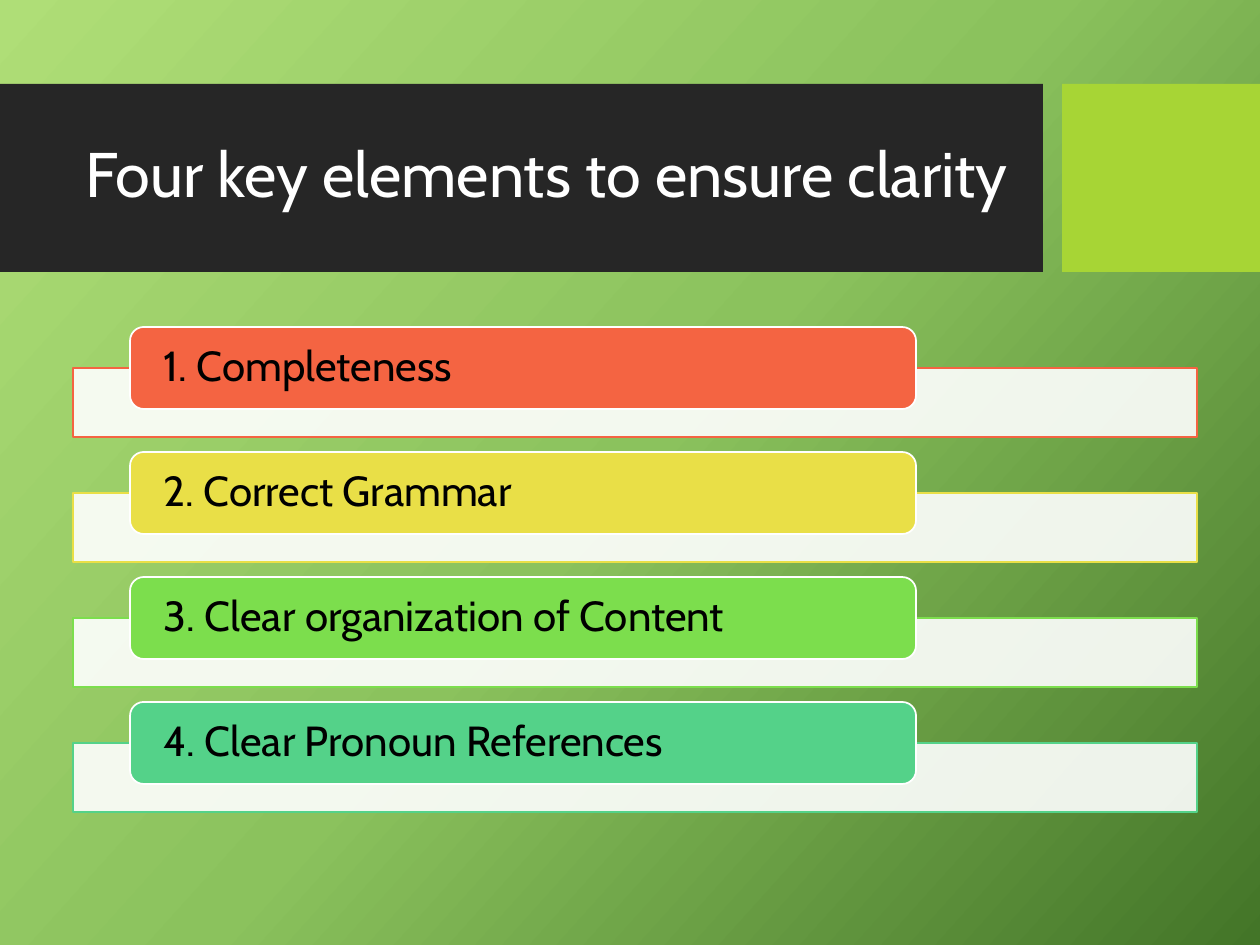
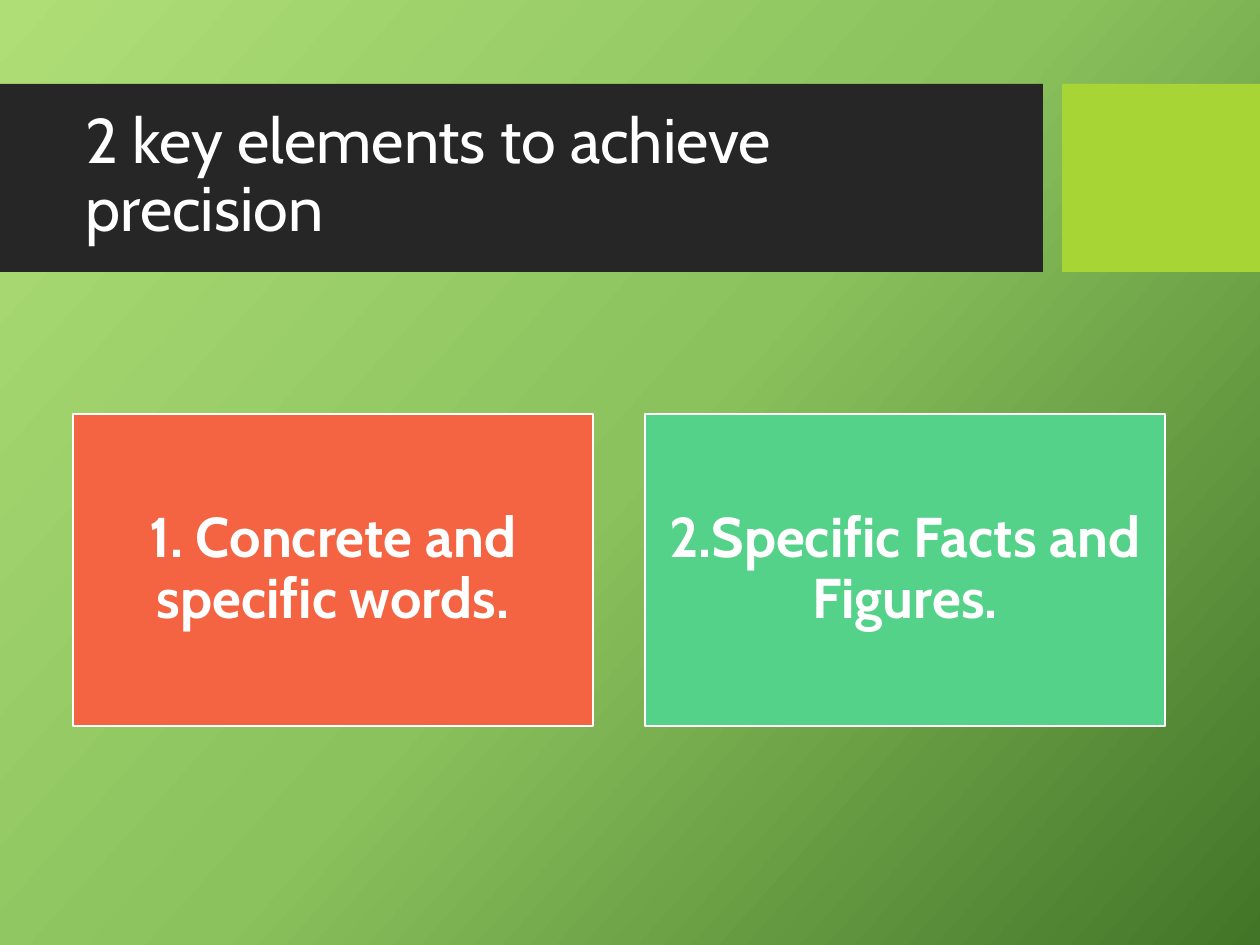
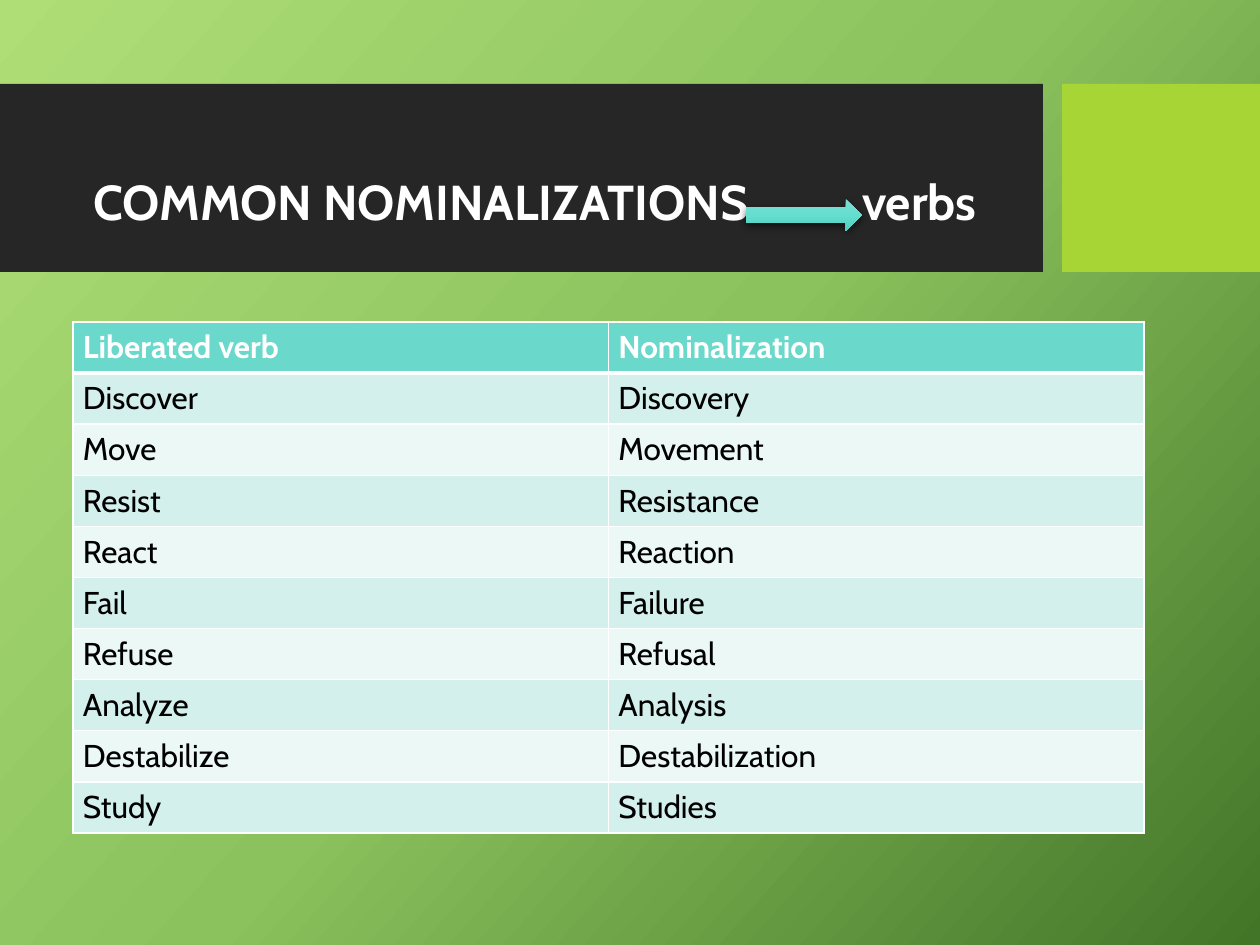
from lxml import etree
from pptx import Presentation
from pptx.dml.color import RGBColor
from pptx.enum.shapes import MSO_SHAPE
from pptx.enum.text import MSO_ANCHOR, MSO_AUTO_SIZE, PP_ALIGN
from pptx.oxml.ns import qn
from pptx.util import Emu, Pt

RECTANGLE, ROUNDED = MSO_SHAPE.RECTANGLE, MSO_SHAPE.ROUNDED_RECTANGLE
RIGHT_ARROW = MSO_SHAPE.RIGHT_ARROW
MIDDLE, BOTTOM = MSO_ANCHOR.MIDDLE, MSO_ANCHOR.BOTTOM
LEFT, CENTER = PP_ALIGN.LEFT, PP_ALIGN.CENTER
NO_AUTOFIT = MSO_AUTO_SIZE.NONE

EMU_PER_PX = 914400 / 126
FONT = "Cabin"
COLORS = {
    "white": "FFFFFF", "black": "000000", "band": "262626", "accent": "A7D535",
    "red": "F46442", "yellow": "E9DF47", "green": "7CDE4D", "mint": "54D289",
    "header": "6AD8CB", "row_dark": "D4F0EC", "row_light": "EBF8F6",
}
BACKGROUND_STOPS = ((0, "AFDE77"), (50, "8BC25D"), (100, "437528"))
ARROW_STOPS = ((0, "7EDDD2"), (50, "64DECF"), (100, "53CBBD"))

TITLE_BOX = (73, 103, 950, 149)
TITLE_FONT = {"size": Pt(36), "bold": False, "color": "white"}
TITLE_BOLD_FONT = {"size": Pt(28), "bold": True, "color": "white"}
LABEL_FONT = {"size": Pt(24), "bold": False, "color": "black"}
CARD_FONT = {"size": Pt(32), "bold": True, "color": "white"}
HEADER_FONT = {"size": Pt(18), "bold": True, "color": "white"}
CELL_FONT = {"size": Pt(18), "bold": False, "color": "black"}

ELEMENTS = (
    ("1. Completeness", "red"),
    ("2. Correct Grammar", "yellow"),
    ("3. Clear organization of Content", "green"),
    ("4. Clear Pronoun References", "mint"),
)
CARDS = (("1. Concrete and specific words.", "red"),
         ("2.Specific Facts and Figures.", "mint"))
VERBS = (
    ("Liberated verb", "Nominalization"),
    ("Discover", "Discovery"), ("Move", "Movement"), ("Resist", "Resistance"),
    ("React", "Reaction"), ("Fail", "Failure"), ("Refuse", "Refusal"),
    ("Analyze", "Analysis"), ("Destabilize", "Destabilization"),
    ("Study", "Studies"),
)


def px(length):
    return Emu(round(length * EMU_PER_PX))


def rgb(name):
    return RGBColor.from_string(COLORS[name])


def add_xml(parent, tag, **attributes):
    values = {key: str(value) for key, value in attributes.items()}
    return etree.SubElement(parent, qn(tag), values)


def place(shape, box):
    for side, length in zip(("left", "top", "width", "height"), box):
        setattr(shape, side, px(length))


def format_text(paragraph, font, align=LEFT, spacing=0.9):
    paragraph.alignment = align
    paragraph.line_spacing = spacing
    paragraph.font.name = FONT
    for name, value in font.items():
        if name == "color":
            paragraph.font.color.rgb = rgb(value)
        else:
            setattr(paragraph.font, name, value)


def fill_gradient(fill, element, stops, angle):
    """Give a fill inside element any number of stops, at a clockwise angle."""
    fill.gradient()
    fill.gradient_angle = 360 - angle
    stop_list = next(element.iter(qn("a:gsLst")))
    for stop in list(stop_list):
        stop_list.remove(stop)
    for position, color in stops:
        stop = add_xml(stop_list, "a:gs", pos=position * 1000)
        add_xml(stop, "a:srgbClr", val=color)


def add_block(slide, kind, box, fill=None, line=None):
    shape = slide.shapes.add_shape(kind, *map(px, box))
    shape.shadow.inherit = False
    if fill:
        shape.fill.solid()
        shape.fill.fore_color.rgb = rgb(fill)
    if line:
        shape.line.color.rgb = rgb(line)
        shape.line.width = Pt(1)
    else:
        shape.line.fill.background()
    return shape


def write_block(shape, text, font, align, inset_x, inset_y):
    frame = shape.text_frame
    frame.word_wrap = True
    frame.vertical_anchor = MIDDLE
    frame.margin_left = frame.margin_right = px(inset_x)
    frame.margin_top = frame.margin_bottom = px(inset_y)
    frame.text = text
    format_text(frame.paragraphs[0], font, align)


def prepare_layout(layout, slide):
    """Draw the bands on a slide and move them behind the layout's title."""
    fill_gradient(layout.background.fill, layout.element, BACKGROUND_STOPS, 42)
    for placeholder in list(layout.placeholders)[1:]:
        placeholder.element.getparent().remove(placeholder.element)
    bands = [add_block(slide, RECTANGLE, (0, 84, 1043, 188), "band"),
             add_block(slide, RECTANGLE, (1062, 84, 198, 188), "accent")]
    title = layout.placeholders[0].element
    for band in bands:
        title.addprevious(band.element)


def set_title(slide, text, font=TITLE_FONT, anchor=MIDDLE):
    title = slide.shapes.title
    place(title, TITLE_BOX)
    frame = title.text_frame
    frame.auto_size = NO_AUTOFIT
    frame.word_wrap = True
    frame.vertical_anchor = anchor
    frame.text = text
    format_text(frame.paragraphs[0], font)
    return frame


def add_element_row(slide, box, text, color):
    left, top, width, height = box
    bar = add_block(slide, RECTANGLE, (left, top + 41, width, height - 41),
                    "white", color)
    bar_color = next(bar.element.spPr.iter(qn("a:srgbClr")))
    add_xml(bar_color, "a:alpha", val=90000)
    label = add_block(slide, ROUNDED, (left + 57, top, 786, 82), color, "white")
    write_block(label, text, LABEL_FONT, LEFT, 30, 0)


def add_verb_table(slide, box):
    table = slide.shapes.add_table(len(VERBS), len(VERBS[0]), *map(px, box)).table
    for row_index, words in enumerate(VERBS):
        is_header = row_index == 0
        fill = "header" if is_header else ("row_light", "row_dark")[row_index % 2]
        for column_index, word in enumerate(words):
            cell = table.cell(row_index, column_index)
            widths = {"L": 1, "R": 1, "T": 3 if row_index == 1 else 1,
                      "B": 3 if is_header else 1}
            add_borders(cell, widths)
            cell.fill.solid()
            cell.fill.fore_color.rgb = rgb(fill)
            cell.margin_left = cell.margin_right = px(10)
            cell.text = word
            format_text(cell.text_frame.paragraphs[0],
                        HEADER_FONT if is_header else CELL_FONT, spacing=1.0)


def add_borders(cell, widths):
    properties = cell._tc.get_or_add_tcPr()
    for side, width in widths.items():
        line = add_xml(properties, f"a:ln{side}", w=Pt(width))
        add_xml(add_xml(line, "a:solidFill"), "a:srgbClr", val=COLORS["white"])


def add_title_arrow(slide, box):
    arrow = add_block(slide, RIGHT_ARROW, box)
    properties = arrow.element.spPr
    fill_gradient(arrow.fill, properties, ARROW_STOPS, 90)
    shadow = add_xml(properties.find(qn("a:effectLst")), "a:outerShdw",
                     blurRad=Pt(4.5), dist=Pt(1.5), dir=90 * 60000, rotWithShape=0)
    color = add_xml(shadow, "a:srgbClr", val=COLORS["black"])
    add_xml(color, "a:alpha", val=63000)


def build_clarity(slide):
    set_title(slide, "Four key elements to ensure clarity")
    for index, (text, color) in enumerate(ELEMENTS):
        add_element_row(slide, (73, 327 + 125 * index, 1124, 110), text, color)


def build_precision(slide):
    set_title(slide, "2 key elements to achieve precision")
    for index, (text, color) in enumerate(CARDS):
        card = add_block(slide, RECTANGLE, (73 + 572 * index, 414, 520, 312),
                         color, "white")
        write_block(card, text, CARD_FONT, CENTER, 16, 16)


def build_nominalizations(slide):
    frame = set_title(slide, "", TITLE_BOLD_FONT, BOTTOM)
    frame.margin_left, frame.margin_bottom = px(20), px(21)
    paragraph = frame.paragraphs[0]
    paragraph.text = "COMMON NOMINALIZATIONS\tverbs"
    properties = paragraph._p.get_or_add_pPr()
    tabs = etree.Element(qn("a:tabLst"))
    add_xml(tabs, "a:tab", pos=px(769), algn="l")
    properties.find(qn("a:defRPr")).addprevious(tabs)
    add_verb_table(slide, (73, 322, 1071, 511))
    add_title_arrow(slide, (746, 199, 116, 32))


def main():
    presentation = Presentation()
    presentation.slide_width, presentation.slide_height = px(1260), px(945)
    layout = presentation.slide_layouts[5]
    builders = (build_clarity, build_precision, build_nominalizations)
    slides = [presentation.slides.add_slide(layout) for _ in builders]
    prepare_layout(layout, slides[0])
    for slide, build in zip(slides, builders):
        build(slide)
    presentation.save("out.pptx")


if __name__ == "__main__":
    main()
